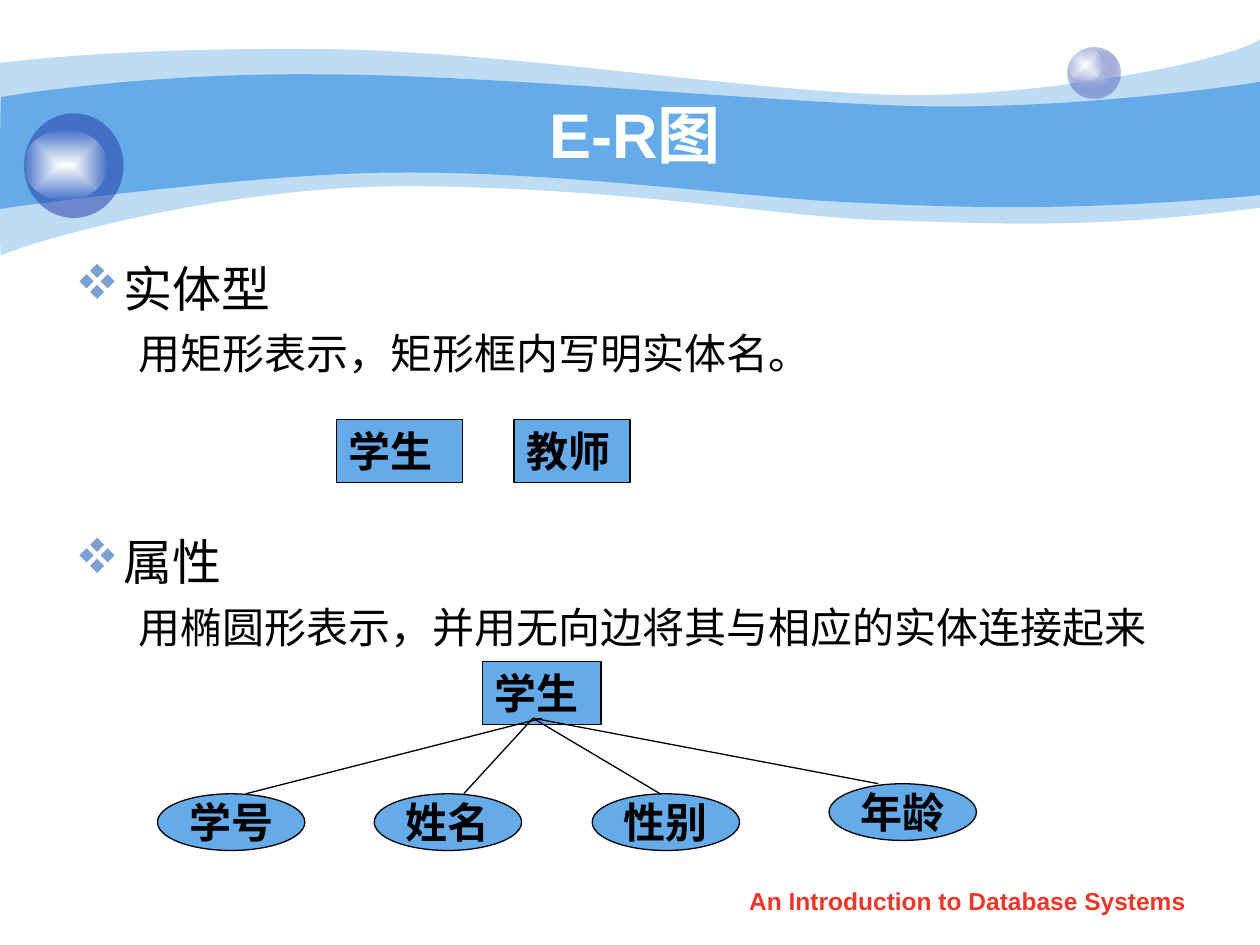
from dataclasses import dataclass

from lxml import etree
from pptx import Presentation
from pptx.dml.color import RGBColor
from pptx.enum.shapes import MSO_CONNECTOR, MSO_SHAPE
from pptx.enum.text import MSO_ANCHOR, MSO_AUTO_SIZE, PP_ALIGN
from pptx.oxml.ns import qn
from pptx.util import Pt

PX = 9144  # 100 px to the inch
RECTANGLE, OVAL = MSO_SHAPE.RECTANGLE, MSO_SHAPE.OVAL
CENTER, LEFT = PP_ALIGN.CENTER, PP_ALIGN.LEFT
TOP, MIDDLE = MSO_ANCHOR.TOP, MSO_ANCHOR.MIDDLE
FIXED_SIZE = MSO_AUTO_SIZE.NONE
BLACK = RGBColor(0x00, 0x00, 0x00)
WHITE = RGBColor(0xFF, 0xFF, 0xFF)
NEAR_WHITE = RGBColor(0xFE, 0xFE, 0xFE)
SKY = RGBColor(0x65, 0xAA, 0xE9)
NAVY = RGBColor(0x23, 0x3D, 0xA9)
LAVENDER = RGBColor(0xC6, 0xCC, 0xE8)
BULLET = RGBColor(0x7D, 0xA0, 0xD3)
RED = RGBColor(0xF0, 0x36, 0x28)


@dataclass(frozen=True)
class Box:
    left: int
    top: int
    width: int
    height: int

    def emu(self) -> tuple:
        return tuple(n * PX for n in (self.left, self.top, self.width, self.height))


@dataclass(frozen=True)
class Wave:
    """Two chains of cubic curves, each a start point and three points a curve."""
    upper: tuple
    lower: tuple
    opacity: int


@dataclass(frozen=True)
class Ball:
    box: Box
    stops: tuple  # (colour, opacity) from the centre outwards


@dataclass(frozen=True)
class Node:
    text: str
    box: Box


@dataclass(frozen=True)
class BodyLine:
    text: str
    size: int
    space_before: int
    margin: int
    indent: int
    bullet: bool


WAVES = (
    Wave(((0, 50), (24, 47), (107, 38), (247, 39), (386, 39), (575, 70), (699, 75),
          (822, 80), (980, 47), (1000, 31)),
         ((1000, 165), (858, 183), (787, 177), (705, 175), (622, 173), (515, 151),
          (343, 148), (172, 144), (4, 199), (1, 203), (-1, 208), (0, 75), (0, 50)), 41),
    Wave(((1, 77), (2, 77), (110, 58), (248, 59), (386, 59), (595, 80), (718, 84),
          (841, 88), (976, 69), (1000, 65)),
         ((1000, 155), (853, 168), (765, 165), (682, 161), (599, 158), (447, 136),
          (317, 137), (203, 137), (-2, 166), (-1, 166), (0, 166), (0, 77), (1, 77)), 100),
)
SHINE = ((WHITE, 100), (NEAR_WHITE, 0))
BALLS = (
    Ball(Box(847, 38, 42, 40), ((LAVENDER, 100), (NAVY, 31))),
    Ball(Box(847, 38, 28, 27), SHINE),
    Ball(Box(19, 90, 79, 83), ((NAVY, 53),)),
    Ball(Box(19, 103, 66, 56), SHINE),
)
BODY = (
    BodyLine("实体型", 28, 0, 38, -38, True),
    BodyLine("用矩形表示，矩形框内写明实体名。", 24, 6, 81, -31, False),
    BodyLine("属性", 28, 88, 38, -38, True),
    BodyLine("用椭圆形表示，并用无向边将其与相应的实体连接起来", 24, 6, 81, -31, False),
)
ENTITIES = (
    Node("学生", Box(267, 333, 100, 50)),
    Node("教师", Box(408, 333, 92, 50)),
    Node("学生", Box(383, 525, 94, 50)),
)
ATTRIBUTES = (
    Node("学号", Box(125, 630, 117, 45)),
    Node("年龄", Box(658, 622, 117, 45)),
    Node("性别", Box(470, 630, 117, 45)),
    Node("姓名", Box(297, 630, 117, 45)),
)
EDGES = (((430, 570), (195, 630)), ((423, 570), (368, 630)),
         ((423, 570), (524, 630)), ((423, 570), (697, 622)))


def add_color(parent, color: RGBColor, opacity: int) -> None:
    element = etree.SubElement(parent, qn("a:srgbClr"), val=str(color))
    if opacity < 100:
        etree.SubElement(element, qn("a:alpha"), val=str(opacity * 1000))


def fill_translucent(shape, stops: tuple) -> None:
    """Fill with one colour, or with a gradient running out from the centre."""
    shape.shadow.inherit = False
    shape.line.fill.background()
    if len(stops) == 1:
        fill = etree.Element(qn("a:solidFill"))
        add_color(fill, *stops[0])
    else:
        fill = etree.Element(qn("a:gradFill"), rotWithShape="1")
        stop_list = etree.SubElement(fill, qn("a:gsLst"))
        for index, stop in enumerate(stops):
            position = 100000 * index // (len(stops) - 1)
            add_color(etree.SubElement(stop_list, qn("a:gs"), pos=str(position)), *stop)
        shade = etree.SubElement(fill, qn("a:path"), path="rect")
        etree.SubElement(shade, qn("a:fillToRect"), l="50000", t="50000", r="50000", b="50000")
    shape.element.spPr.find(qn("a:ln")).addprevious(fill)


def bend(segments: list) -> None:
    """Join each three straight segments into one cubic curve."""
    for first in range(0, len(segments), 3):
        curve = etree.Element(qn("a:cubicBezTo"))
        segments[first].addprevious(curve)
        for segment in segments[first:first + 3]:
            curve.append(segment[0])
            segment.getparent().remove(segment)


def add_wave(slide, wave: Wave) -> None:
    points = wave.upper + wave.lower
    builder = slide.shapes.build_freeform(*points[0], scale=float(PX))
    builder.add_line_segments(points[1:], close=True)
    shape = builder.convert_to_shape()
    segments = list(shape.element.iter(qn("a:lnTo")))
    side = len(wave.upper) - 1  # the straight right-hand side stays a line
    bend(segments[:side])
    bend(segments[side + 1:side + len(wave.lower)])
    fill_translucent(shape, ((SKY, wave.opacity),))


def format_paragraph(paragraph, size: int, font: str, color: RGBColor, bold: bool,
                     alignment) -> None:
    paragraph.alignment = alignment
    for run in paragraph.runs:
        run.font.size, run.font.name, run.font.bold = Pt(size), font, bold
        run.font.color.rgb = color


def add_node(slide, node: Node, preset, alignment, anchor, wrap: bool) -> None:
    shape = slide.shapes.add_shape(preset, *node.box.emu())
    shape.shadow.inherit = False
    shape.fill.solid()
    shape.fill.fore_color.rgb = SKY
    shape.line.color.rgb = BLACK
    shape.line.width = Pt(0.75)
    frame = shape.text_frame
    frame.text = node.text
    frame.word_wrap, frame.vertical_anchor = wrap, anchor
    format_paragraph(frame.paragraphs[0], 24, "Times New Roman", BLACK, True, alignment)


def add_edge(slide, start: tuple, end: tuple) -> None:
    line = slide.shapes.add_connector(MSO_CONNECTOR.STRAIGHT, *(n * PX for n in start + end))
    line.line.color.rgb = BLACK
    line.line.width = Pt(0.75)
    etree.SubElement(line.element.spPr, qn("a:effectLst"))


def add_body(slide) -> None:
    frame = slide.shapes.add_textbox(*Box(50, 200, 900, 492).emu()).text_frame
    frame.word_wrap = True
    for index, line in enumerate(BODY):
        paragraph = frame.add_paragraph() if index else frame.paragraphs[0]
        paragraph.text = line.text
        if index:
            paragraph.space_before = Pt(line.space_before)
        properties = paragraph._p.get_or_add_pPr()
        properties.set("marL", str(line.margin * PX))
        properties.set("indent", str(line.indent * PX))
        if line.bullet:
            add_color(etree.SubElement(properties, qn("a:buClr")), BULLET, 100)
            # "v" is the four-diamond mark in this symbol font
            etree.SubElement(properties, qn("a:buFont"), typeface="Wingdings", charset="2")
            etree.SubElement(properties, qn("a:buChar"), char="v")
        else:
            etree.SubElement(properties, qn("a:buNone"))
        format_paragraph(paragraph, line.size, "Arial", BLACK, False, LEFT)


def set_title(slide) -> None:
    title = slide.shapes.title
    title.left, title.top, title.width, title.height = Box(100, 75, 808, 62).emu()
    title.text_frame.text = "E-R图"
    title.text_frame.vertical_anchor = MIDDLE
    title.text_frame.auto_size = FIXED_SIZE
    format_paragraph(title.text_frame.paragraphs[0], 36, "Arial", WHITE, True, CENTER)
    slide.shapes._spTree.append(title.element)  # above the waves


def add_footer(slide) -> None:
    frame = slide.shapes.add_textbox(*Box(571, 698, 394, 35).emu()).text_frame
    frame.word_wrap = True
    frame.text = "An Introduction to Database Systems"
    format_paragraph(frame.paragraphs[0], 14, "Arial", RED, True, CENTER)


def main() -> None:
    presentation = Presentation()
    presentation.slide_width, presentation.slide_height = 1000 * PX, 750 * PX
    slide = presentation.slides.add_slide(presentation.slide_layouts[5])
    for wave in WAVES:
        add_wave(slide, wave)
    for ball in BALLS:
        fill_translucent(slide.shapes.add_shape(OVAL, *ball.box.emu()), ball.stops)
    set_title(slide)
    add_body(slide)
    for entity in ENTITIES:
        add_node(slide, entity, RECTANGLE, LEFT, TOP, True)
    for attribute in ATTRIBUTES:
        add_node(slide, attribute, OVAL, CENTER, MIDDLE, False)
    for start, end in EDGES:
        add_edge(slide, start, end)
    add_footer(slide)
    presentation.save("out.pptx")


if __name__ == "__main__":
    main()
